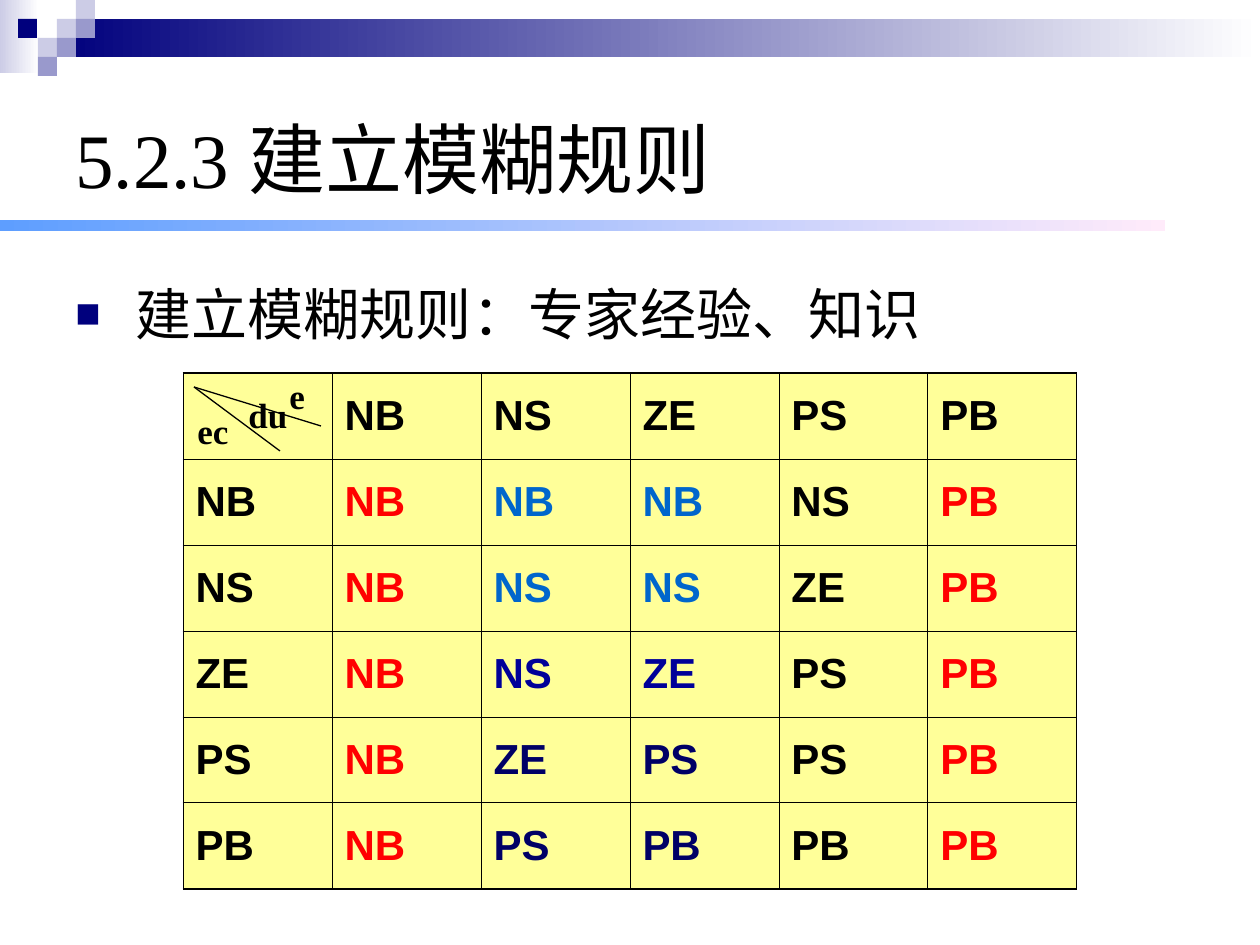
from lxml import etree
from pptx import Presentation
from pptx.dml.color import RGBColor
from pptx.enum.shapes import MSO_CONNECTOR, MSO_SHAPE
from pptx.enum.text import MSO_ANCHOR, MSO_AUTO_SIZE
from pptx.oxml.ns import qn
from pptx.util import Emu, Pt

RECT = MSO_SHAPE.RECTANGLE
STRAIGHT = MSO_CONNECTOR.STRAIGHT
MIDDLE = MSO_ANCHOR.MIDDLE
GROW = MSO_AUTO_SIZE.SHAPE_TO_FIT_TEXT

COLORS = {
    "white": "FFFFFF", "black": "000000", "navy": "00007D", "lilac": "CCCCE6",
    "violet": "9999CC", "sky": "5E9EFF", "pink": "FFEBFA", "cream": "FFFF99",
    "red": "FF0000", "blue": "0066CC", "indigo": "000099", "midnight": "000066",
}
LEVELS = ["NB", "NS", "ZE", "PS", "PB"]
RULES = [
    ("NB NB NB NS PB", "blue"),
    ("NB NS NS ZE PB", "blue"),
    ("NB NS ZE PS PB", "indigo"),
    ("NB ZE PS PS PB", "midnight"),
    ("NB PS PB PB PB", "midnight"),
]


def px(n):
    return Emu(round(n * 914400 / 126))


def rgb(name):
    return RGBColor.from_string(COLORS[name])


def set_font(font, name, size, color="black", bold=False):
    font.name, font.size, font.bold = name, Pt(size), bold
    font.color.rgb = rgb(color)


def add_rect(shapes, x, y, w, h, *colors):
    sp = shapes.add_shape(RECT, px(x), px(y), px(w), px(h))
    sp.shadow.inherit = False
    sp.line.fill.background()
    if len(colors) == 1:
        sp.fill.solid()
        sp.fill.fore_color.rgb = rgb(colors[0])
    else:
        sp.fill.gradient()
        sp.fill.gradient_angle = 0
        for stop, color in zip(sp.fill.gradient_stops, colors):
            stop.color.rgb = rgb(color)


def add_text(shapes, x, y, w, h, wrap=True):
    tf = shapes.add_textbox(px(x), px(y), px(w), px(h)).text_frame
    tf.word_wrap = wrap
    return tf


def add_header(s, x, y, w):
    unit = 19
    add_rect(s.shapes, x, y, 39, 73, "lilac", "white")
    add_rect(s.shapes, x + 57, y + unit, w - 57, 2 * unit, "navy", "white")
    squares = [(57, 1, "lilac"), (76, 0, "lilac"), (76, 1, "violet"), (38, 2, "lilac"),
               (18, 1, "navy"), (57, 2, "violet"), (38, 3, "violet")]
    for left, row, color in squares:
        add_rect(s.shapes, x + left, y + row * unit, unit, unit, color)


def add_title(s, x, y, w, h):
    tf = add_text(s.shapes, x, y, w, h)
    tf.vertical_anchor = MIDDLE
    p = tf.paragraphs[0]
    for text, font in [("5.2.3 ", "Times New Roman"), ("建立模糊规则", "Arial")]:
        r = p.add_run()
        r.text = text
        set_font(r.font, font, 44)


def add_body(s, x, y, w, h):
    p = add_text(s.shapes, x, y, w, h).paragraphs[0]
    p.text = " 建立模糊规则：专家经验、知识"
    p.space_before = Pt(8)
    set_font(p.font, "Arial", 32)
    pPr = p._p.get_or_add_pPr()
    pPr.set("marL", str(px(48)))
    pPr.set("indent", str(px(-48)))
    bullet = [
        etree.Element(qn("a:buClr")),
        etree.Element(qn("a:buSzPct"), val="75000"),
        etree.Element(qn("a:buFont"), typeface="Arial"),
        etree.Element(qn("a:buChar"), char="■"),
    ]
    etree.SubElement(bullet[0], qn("a:srgbClr"), val=COLORS["navy"])
    at = list(pPr).index(pPr.find(qn("a:defRPr")))
    pPr[at:at] = bullet


def set_borders(cell, widths):
    tcPr = cell._tc.get_or_add_tcPr()
    for side, width in zip("LRTB", widths):
        ln = etree.SubElement(tcPr, qn("a:ln" + side), w=str(Pt(width)))
        fill = etree.SubElement(ln, qn("a:solidFill"))
        etree.SubElement(fill, qn("a:srgbClr"), val=COLORS["black"])


def add_rule_table(s, x, y, cell_w, cell_h):
    rows = [[""] + LEVELS]
    rows += [[level] + rule.split() for level, (rule, _) in zip(LEVELS, RULES)]
    colors = [["black"] * 6]
    colors += [["black", "red", color, color, "black", "red"] for _, color in RULES]
    n = len(rows)
    table = s.shapes.add_table(n, n, px(x), px(y), px(n * cell_w), px(n * cell_h)).table
    table.first_row = table.horz_banding = False
    for i in range(n):
        table.columns[i].width = px(cell_w)
        table.rows[i].height = px(cell_h)
        for j in range(n):
            cell = table.cell(i, j)
            set_borders(cell, [0.45, 0.45, 1.08 if i == 0 else 0.45,
                               1.08 if i == n - 1 else 0.45])
            cell.fill.solid()
            cell.fill.fore_color.rgb = rgb("cream")
            cell.vertical_anchor = MIDDLE
            if rows[i][j]:
                p = cell.text_frame.paragraphs[0]
                p.text = rows[i][j]
                p.space_before = Pt(6)
                set_font(p.font, "Arial", 24, colors[i][j], True)


def add_corner_labels(s, x, y):
    shapes = s.shapes.add_group_shape().shapes
    for text, dx, dy, w in [("du", 53, 14, 68), ("e", 94, -5, 44), ("ec", 2, 30, 62)]:
        tf = add_text(shapes, x + dx, y + dy, w, 55, wrap=False)
        tf.auto_size = GROW
        p = tf.paragraphs[0]
        p.text = text
        set_font(p.font, "Times New Roman", 20, bold=True)
    for dx, dy in [(138, 53), (97, 78)]:
        line = shapes.add_connector(STRAIGHT, px(x + 11), px(y + 14), px(x + dx), px(y + dy))
        line.line.color.rgb = rgb("black")
        line.line.width = Pt(0.75)
        etree.SubElement(line._element.spPr, qn("a:effectLst"))


def main():
    prs = Presentation()
    prs.slide_width, prs.slide_height = px(1260), px(945)
    s = prs.slides.add_slide(prs.slide_layouts[6])
    add_header(s, 0, 0, 1260)
    add_rect(s.shapes, 0, 220, 1165, 11, "sky", "pink")
    add_title(s, 63, 63, 1134, 189)
    add_body(s, 63, 273, 1134, 536)
    add_rule_table(s, 183, 373, 149, 86)
    add_corner_labels(s, 183, 373)
    prs.save("out.pptx")


if __name__ == "__main__":
    main()
